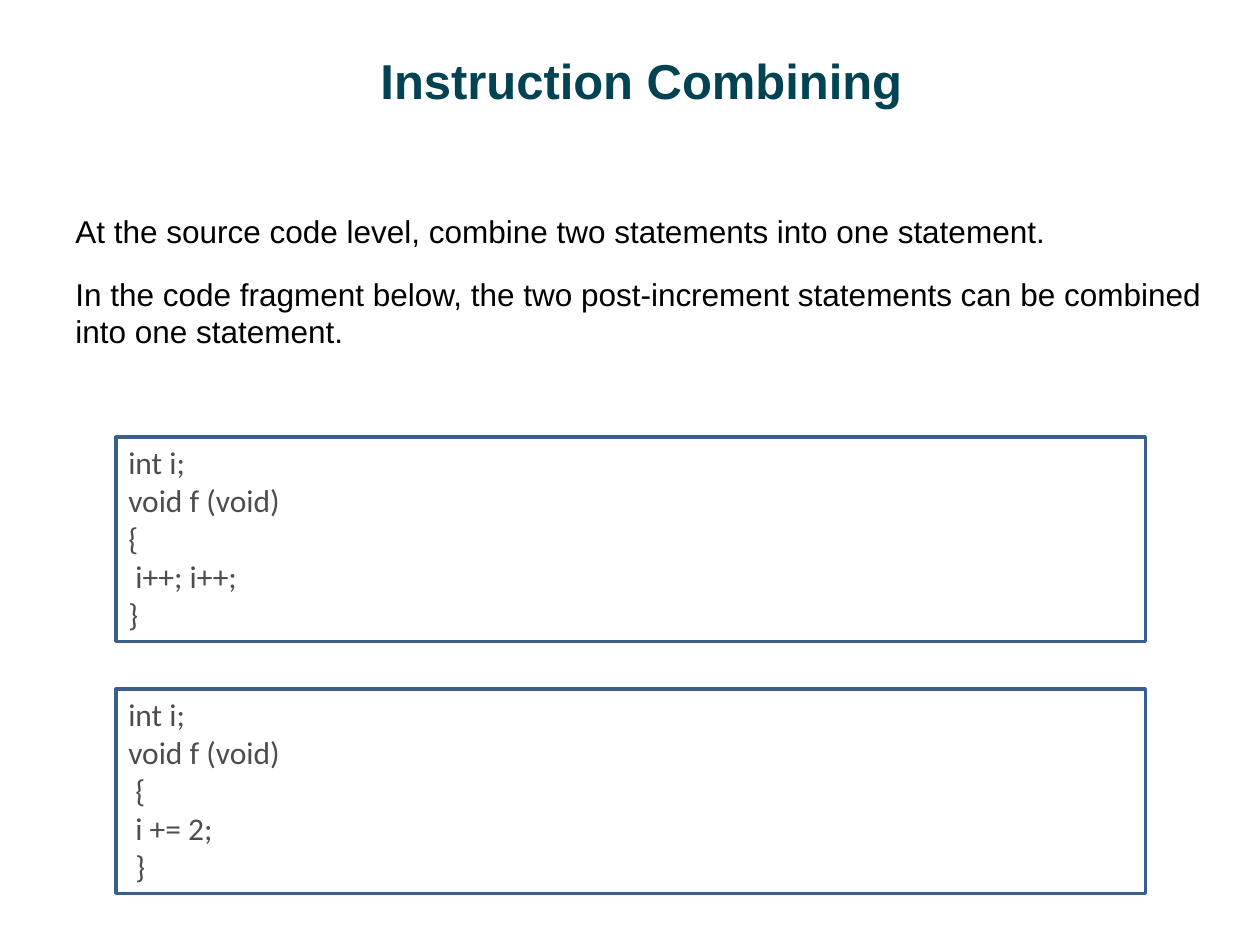
from pptx import Presentation
from pptx.dml.color import RGBColor
from pptx.enum.shapes import MSO_SHAPE
from pptx.enum.text import MSO_ANCHOR, PP_ALIGN
from pptx.util import Inches, Pt

RECTANGLE = MSO_SHAPE.RECTANGLE
TOP, MIDDLE = MSO_ANCHOR.TOP, MSO_ANCHOR.MIDDLE
LEFT, CENTER = PP_ALIGN.LEFT, PP_ALIGN.CENTER

TEAL = RGBColor(0x01, 0x43, 0x53)
BLACK = RGBColor(0x00, 0x00, 0x00)
GRAY = RGBColor(0x4D, 0x4D, 0x4D)
BLUE = RGBColor(0x3A, 0x5F, 0x8C)


def write_text(shape, text, font="Arial", size=18, color=BLACK, bold=False,
               align=LEFT, anchor=TOP):
    frame = shape.text_frame
    frame.word_wrap = True
    frame.vertical_anchor = anchor
    frame.text = text
    for para in frame.paragraphs:
        para.alignment = align
        for span in para.runs:
            span.font.name = font
            span.font.size = Pt(size)
            span.font.bold = bold
            span.font.color.rgb = color


deck = Presentation()
deck.slide_width = Inches(10)
deck.slide_height = Inches(7.5)
page = deck.slides.add_slide(deck.slide_layouts[5])

title = page.shapes.title
title.left, title.top = Inches(1.24), Inches(0.5)
title.width, title.height = Inches(7.7), Inches(0.67)
write_text(title, "Instruction Combining", size=28, color=TEAL, bold=True,
           align=CENTER, anchor=MIDDLE)
# The heading sits in the upper part of its box
title.text_frame.margin_top = 0
title.text_frame.margin_bottom = Inches(0.4)

explanations = [
    (1.63, 9, 0.4,
     "At the source code level, combine two statements into one statement."),
    (2.13, 9.17, 0.71,
     "In the code fragment below, the two post-increment statements "
     "can be combined into one statement."),
]
for top, width, height, text in explanations:
    box = page.shapes.add_textbox(Inches(0.5), Inches(top),
                                  Inches(width), Inches(height))
    write_text(box, text)

code_fragments = [
    "int i;\nvoid f (void)\n{\n i++; i++;\n}",
    "int i;\nvoid f (void)\n {\n i += 2;\n }",
]
for index, code in enumerate(code_fragments):
    box = page.shapes.add_shape(RECTANGLE, Inches(0.92), Inches(3.47 + 2 * index),
                                Inches(8.17), Inches(1.62))
    box.shadow.inherit = False
    box.fill.background()
    box.line.color.rgb = BLUE
    box.line.width = Pt(2)
    write_text(box, code, font="Calibri", color=GRAY)

deck.save("out.pptx")
